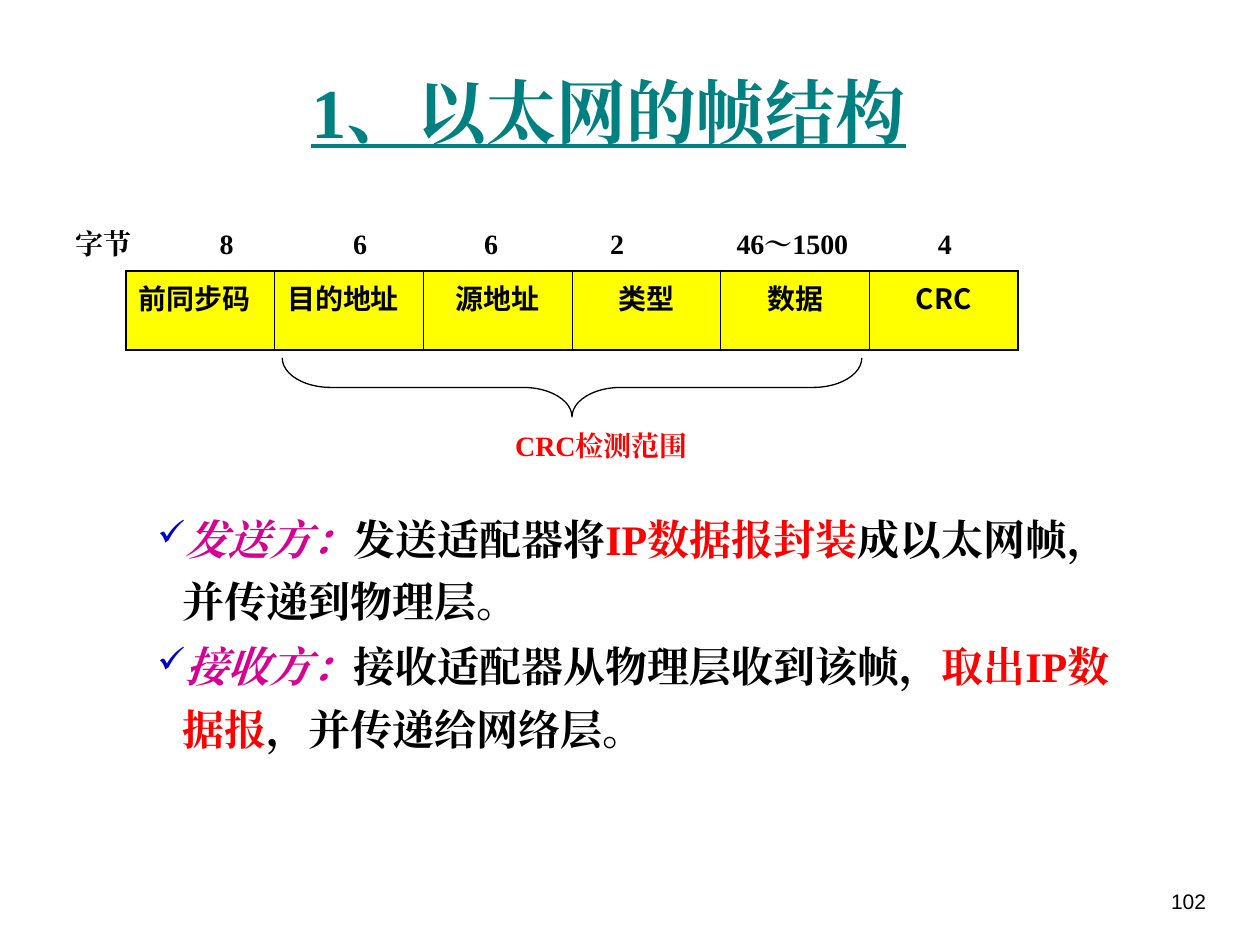
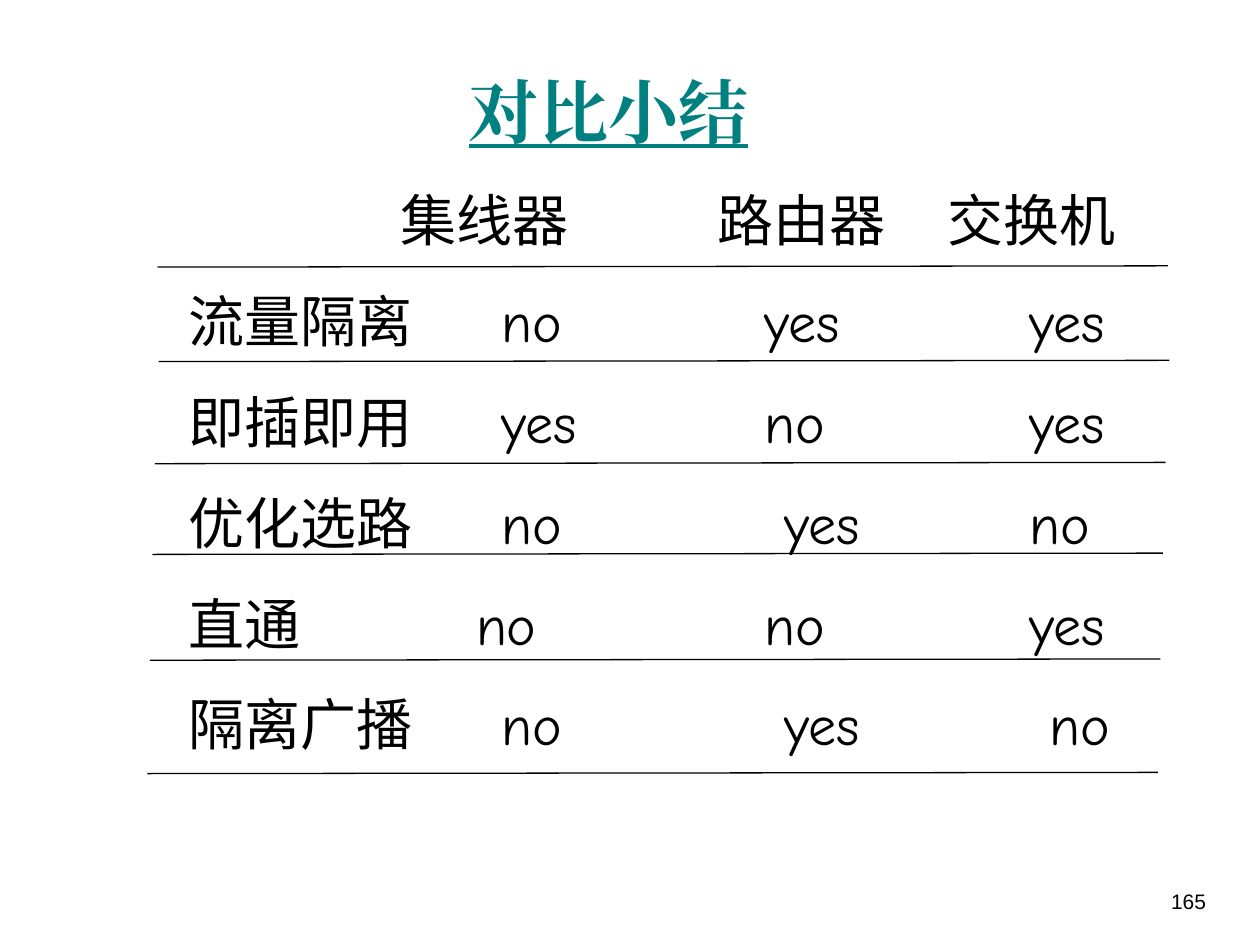
from dataclasses import dataclass

from lxml import etree
from pptx import Presentation
from pptx.dml.color import RGBColor
from pptx.enum.shapes import MSO_CONNECTOR, MSO_SHAPE
from pptx.enum.text import MSO_ANCHOR, PP_ALIGN
from pptx.oxml.ns import qn
from pptx.util import Inches, Pt

LEFT, CENTER, RIGHT = PP_ALIGN.LEFT, PP_ALIGN.CENTER, PP_ALIGN.RIGHT
MIDDLE = MSO_ANCHOR.MIDDLE
STRAIGHT = MSO_CONNECTOR.STRAIGHT
LEFT_BRACE = MSO_SHAPE.LEFT_BRACE


@dataclass(frozen=True)
class Theme:
    black: str = "000000"
    white: str = "FFFFFF"
    teal: str = "008080"
    red: str = "FF0000"
    magenta: str = "D60093"
    bullet_blue: str = "0000CC"
    yellow: str = "FFFF00"
    serif: str = "Times New Roman"
    sans: str = "Arial"
    hand: str = "Comic Neue"
    chinese: str = "Noto Sans CJK SC"
    title_size: float = 40
    comparison_size: float = 32
    body_size: float = 24
    label_size: float = 16
    number_size: float = 12
    line_width: float = 0.75
    outer_border: float = 1.08
    inner_border: float = 0.45


THEME = Theme()

FRAME_FIELDS = ["前同步码", "目的地址", "源地址", "类型", "数据", "CRC"]
FIELD_BYTES = ["8", "6", "6", "2", "46～1500", "4"]
BYTE_CENTERS = [1.2, 2.26, 3.3, 4.3, 5.69, 6.9]
ENCAPSULATION_STEPS = [
    [("发送方：", "lead"), ("发送适配器将", "plain"), ("IP数据报封装", "key"),
     ("成以太网帧，并传递到物理层。", "plain")],
    [("接收方：", "lead"), ("接收适配器从物理层收到该帧，", "plain"),
     ("取出IP数据报", "key"), ("，并传递给网络层。", "plain")],
]
COMPARISON_ROWS = [
    (["", "集线器", "路由器", "交换机"], [1.68, 4.2, 6.02]),
    (["流量隔离", "no", "yes", "yes"], [2.48, 4.57, 6.67]),
    (["即插即用", "yes", "no", "yes"], [2.48, 4.57, 6.67]),
    (["优化选路", "no", "yes", "no"], [2.48, 4.73, 6.67]),
    (["直通", "no", "no", "yes"], [2.28, 4.57, 6.67]),
    (["隔离广播", "no", "yes", "no"], [2.48, 4.73, 6.83]),
]
RULE_STARTS = [(1.25, 2.12), (1.26, 2.87), (1.23, 3.68),
               (1.21, 4.4), (1.19, 5.24), (1.17, 6.14)]


def color(value):
    return RGBColor.from_string(value)


def add_child(parent, tag, **attributes):
    return etree.SubElement(parent, qn(tag), attributes)


def format_run(run, font_name, size, text_color, bold=False, italic=False, underline=False):
    """Style a run, using the same font for Latin and East Asian text."""
    font = run.font
    font.name, font.size = font_name, Pt(size)
    font.bold, font.italic, font.underline = bold, italic, underline
    font.color.rgb = color(text_color)
    latin = run._r.get_or_add_rPr().find(qn("a:latin"))
    east_asian = etree.Element(qn("a:ea"), typeface=font_name)
    latin.addnext(east_asian)


def set_tabs(paragraph, positions, alignment):
    tab_list = add_child(paragraph._p.get_or_add_pPr(), "a:tabLst")
    for position in positions:
        add_child(tab_list, "a:tab", pos=str(Inches(position)), algn=alignment)


def add_box(slide, box, fill=None):
    shape = slide.shapes.add_textbox(*map(Inches, box))
    shape.text_frame.word_wrap = True
    if fill:
        shape.fill.solid()
        shape.fill.fore_color.rgb = color(fill)
    return shape.text_frame


def add_label(slide, box, text, font_name, size, text_color, alignment=LEFT,
              fill=None, **style):
    text_frame = add_box(slide, box, fill)
    text_frame.text = text
    paragraph = text_frame.paragraphs[0]
    paragraph.alignment = alignment
    format_run(paragraph.runs[0], font_name, size, text_color, **style)
    return text_frame


def add_titled_slide(presentation, title, number):
    slide = presentation.slides.add_slide(presentation.slide_layouts[6])
    title_frame = add_label(slide, (0.58, 0.25, 8.5, 1.25), title, THEME.serif,
                            THEME.title_size, THEME.teal, CENTER, bold=True, underline=True)
    title_frame.vertical_anchor = MIDDLE
    add_label(slide, (8.93, 7, 0.74, 0.5), number, THEME.sans,
              THEME.number_size, THEME.black, RIGHT)
    return slide


def set_cell_borders(cell, is_first, is_last):
    properties = cell._tc.get_or_add_tcPr()
    widths = {
        "a:lnL": THEME.outer_border if is_first else THEME.inner_border,
        "a:lnR": THEME.outer_border if is_last else THEME.inner_border,
        "a:lnT": THEME.outer_border,
        "a:lnB": THEME.outer_border,
    }
    for index, (tag, width) in enumerate(widths.items()):
        line = etree.Element(qn(tag), w=str(Pt(width)))
        add_child(add_child(line, "a:solidFill"), "a:srgbClr", val=THEME.black)
        properties.insert(index, line)


def add_frame_table(slide, box):
    table = slide.shapes.add_table(1, len(FRAME_FIELDS), *map(Inches, box)).table
    table.first_row = table.horz_banding = False
    last = len(FRAME_FIELDS) - 1
    for index, field in enumerate(FRAME_FIELDS):
        table.columns[index].width = Inches(box[2] / len(FRAME_FIELDS))
        cell = table.cell(0, index)
        cell.text = field
        cell.fill.solid()
        cell.fill.fore_color.rgb = color(THEME.yellow)
        paragraph = cell.text_frame.paragraphs[0]
        paragraph.alignment = LEFT if len(field) == 4 else CENTER
        format_run(paragraph.runs[0], THEME.chinese, THEME.label_size, THEME.black, bold=True)
        set_cell_borders(cell, index == 0, index == last)


def add_range_brace(slide, box):
    """Draw a brace that fills the box and points down."""
    left, top, width, height = box
    brace = slide.shapes.add_shape(
        LEFT_BRACE, Inches(left + (width - height) / 2), Inches(top + (height - width) / 2),
        Inches(height), Inches(width))
    brace.rotation = 270
    brace.adjustments[0] = 0.82
    brace.shadow.inherit = False
    brace.fill.background()
    brace.line.color.rgb = color(THEME.black)
    brace.line.width = Pt(THEME.line_width)


def add_frame_diagram(slide, box):
    left, top, width, _ = box
    add_label(slide, (left + 3.49, top + 1.6, 1.81, 0.4), "CRC检测范围", THEME.serif,
              THEME.label_size, THEME.red, fill=THEME.white, bold=True)
    byte_frame = add_label(slide, (left, top, width, 0.41), "\t".join(["字节"] + FIELD_BYTES),
                           THEME.serif, THEME.label_size, THEME.black,
                           fill=THEME.white, bold=True)
    set_tabs(byte_frame.paragraphs[0], BYTE_CENTERS, "ctr")
    add_range_brace(slide, (left + 1.74, top + 1.09, 4.6, 0.47))
    add_frame_table(slide, (left + 0.5, top + 0.4, width - 0.5, 0.63))


def set_check_bullet(paragraph):
    properties = paragraph._p.get_or_add_pPr()
    properties.set("marL", str(Inches(0.2)))
    properties.set("indent", str(-Inches(0.2)))
    add_child(add_child(properties, "a:buClr"), "a:srgbClr", val=THEME.bullet_blue)
    add_child(properties, "a:buSzPct", val="85000")
    add_child(properties, "a:buChar", char="✓")


def add_steps(slide, box):
    text_frame = add_box(slide, box)
    run_colors = {"lead": THEME.magenta, "plain": THEME.black, "key": THEME.red}
    for index, step in enumerate(ENCAPSULATION_STEPS):
        paragraph = text_frame.add_paragraph() if index else text_frame.paragraphs[0]
        set_check_bullet(paragraph)
        paragraph.line_spacing = Pt(35.7)
        if index:
            paragraph.space_before = Pt(1.5)
        for text, role in step:
            run = paragraph.add_run()
            run.text = text
            format_run(run, THEME.serif, THEME.body_size, run_colors[role],
                       bold=True, italic=role == "lead")


def add_comparison(slide, box):
    text_frame = add_box(slide, box)
    for index, (values, stops) in enumerate(COMPARISON_ROWS):
        paragraph = text_frame.add_paragraph() if index else text_frame.paragraphs[0]
        paragraph.text = "\t".join(values)
        paragraph.line_spacing = Pt(57.6)
        set_tabs(paragraph, stops, "l")
        for run in paragraph.runs:
            format_run(run, THEME.hand, THEME.comparison_size, THEME.black)


def add_row_rules(slide, length):
    for left, top in RULE_STARTS:
        rule = slide.shapes.add_connector(STRAIGHT, Inches(left), Inches(top),
                                          Inches(left + length), Inches(top - 0.01))
        rule.line.color.rgb = color(THEME.black)
        rule.line.width = Pt(THEME.line_width)
        add_child(rule._element.spPr, "a:effectLst")


def build_frame_slide(presentation):
    slide = add_titled_slide(presentation, "1、以太网的帧结构", "102")
    add_frame_diagram(slide, (0.5, 1.75, 7.58, 2))
    add_steps(slide, (1.15, 3.93, 7.97, 2.12))


def build_comparison_slide(presentation):
    slide = add_titled_slide(presentation, "对比小结", "165")
    add_comparison(slide, (1.4, 1.16, 7.57, 4.9))
    add_row_rules(slide, 8.02)


def main():
    presentation = Presentation()
    presentation.slide_width, presentation.slide_height = Inches(10), Inches(7.5)
    build_frame_slide(presentation)
    build_comparison_slide(presentation)
    presentation.save("out.pptx")


if __name__ == "__main__":
    main()
